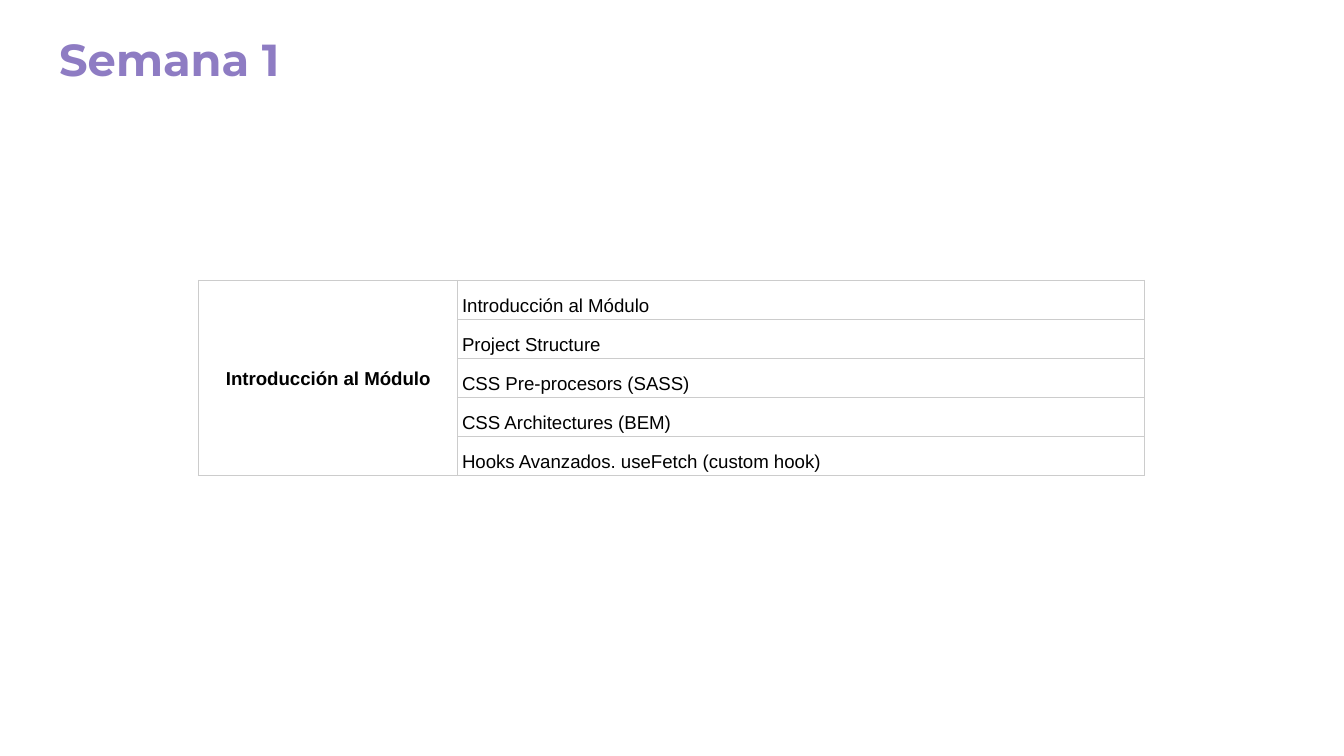
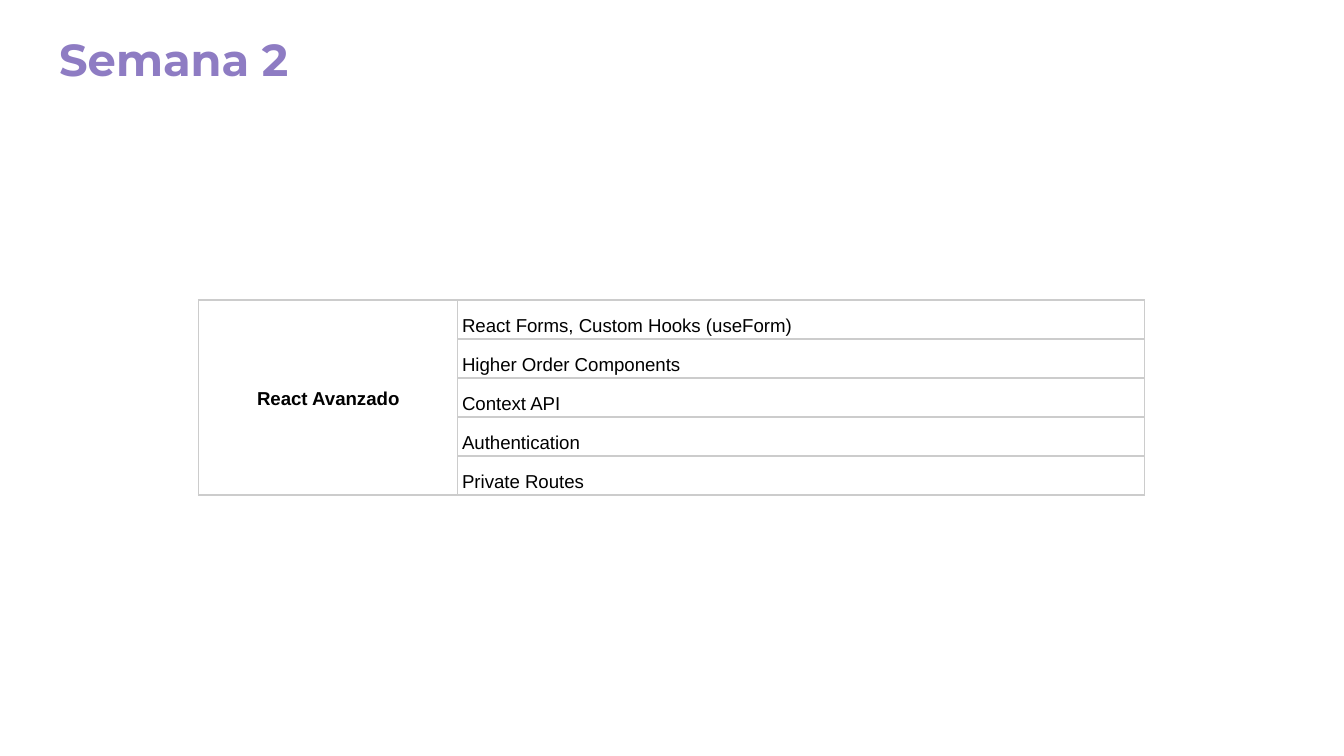
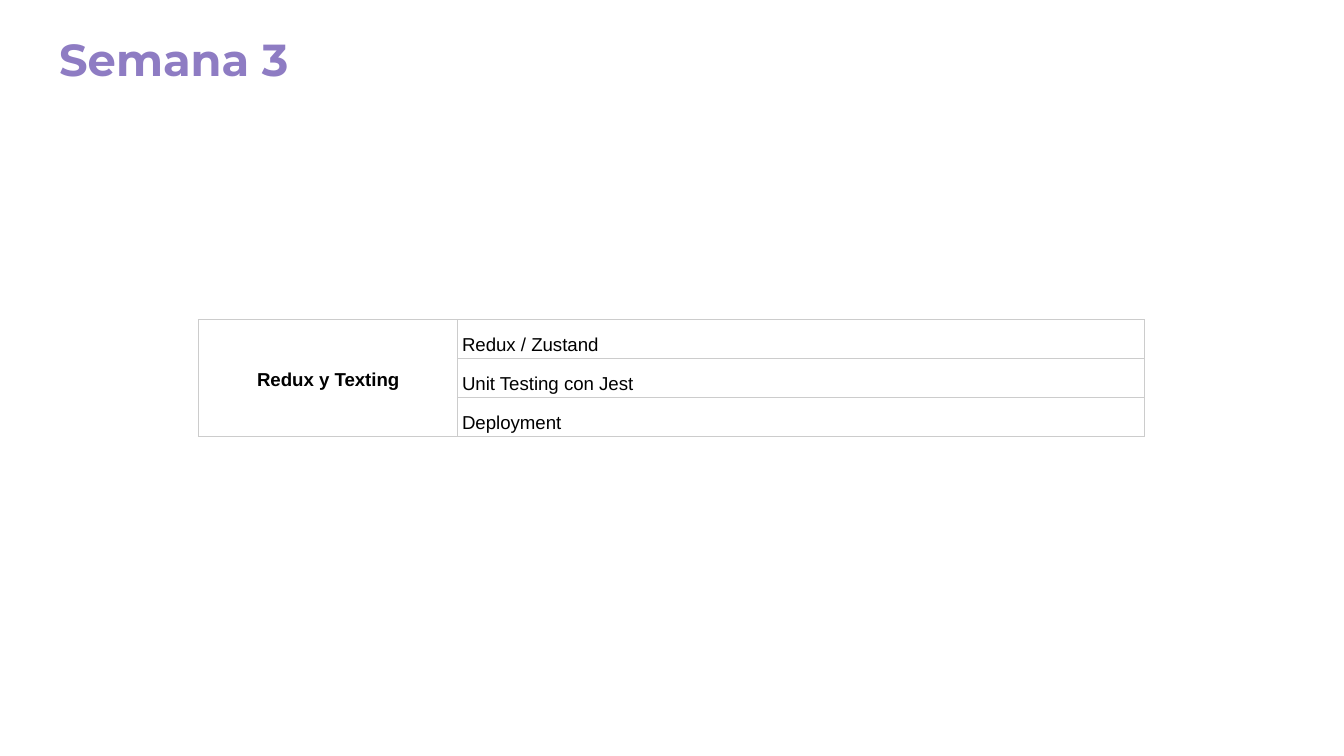
import pptx
import pptx.util
import pptx.dml.color
import pptx.enum.text
import pptx.oxml.ns
import lxml.etree

Pt = pptx.util.Pt
ALIGN = pptx.enum.text.PP_ALIGN
ANCHOR = pptx.enum.text.MSO_ANCHOR

WEEKS = [
    ("Semana 1", 150.2, "Introducción al Módulo", [
        "Introducción al Módulo",
        "Project Structure",
        "CSS Pre-procesors (SASS)",
        "CSS Architectures (BEM)",
        "Hooks Avanzados. useFetch (custom hook)",
    ]),
    ("Semana 2", 160.7, "React Avanzado", [
        "React Forms, Custom Hooks (useForm)",
        "Higher Order Components",
        "Context API",
        "Authentication",
        "Private Routes",
    ]),
    ("Semana 3", 171.2, "Redux y Texting", [
        "Redux / Zustand",
        "Unit Testing con Jest",
        "Deployment",
    ]),
]

PURPLE, BLACK, WHITE, GRAY = "8E7CC3", "000000", "FFFFFF", "CCCCCC"
LEFT, ROW = 106.3, 20.9
COLS = [139, 368]
RULE = 0.75


def color(code):
    return pptx.dml.color.RGBColor.from_string(code)


def write(frame, text, size=10, font="Arial", ink=BLACK, bold=False,
          align=ALIGN.LEFT, space=None):
    para = frame.paragraphs[0]
    para.alignment = align
    para.line_spacing = space
    run = para.add_run()
    run.text = text
    run.font.size = Pt(size)
    run.font.name = font
    run.font.bold = bold
    run.font.color.rgb = color(ink)


def border(cell):
    qn = pptx.oxml.ns.qn
    props = cell._tc.get_or_add_tcPr()
    for side in "LRTB":
        line = lxml.etree.SubElement(props, qn("a:ln" + side), w=str(Pt(RULE)))
        fill = lxml.etree.SubElement(line, qn("a:solidFill"))
        lxml.etree.SubElement(fill, qn("a:srgbClr"), val=GRAY)


def style(cell, anchor):
    cell.margin_left = cell.margin_right = Pt(2.25)
    cell.margin_top = cell.margin_bottom = Pt(1.5)
    cell.vertical_anchor = anchor
    border(cell)


def head(slide, text):
    title = slide.shapes.title
    title.left, title.top = Pt(24.5), Pt(8.6)
    title.width, title.height = Pt(671), Pt(45.4)
    frame = title.text_frame
    frame.word_wrap = True
    frame.auto_size = pptx.enum.text.MSO_AUTO_SIZE.NONE
    frame.vertical_anchor = ANCHOR.MIDDLE
    frame.margin_left = frame.margin_right = Pt(7.2)
    frame.margin_top = frame.margin_bottom = Pt(7.2)
    write(frame, text, size=24, font="Montserrat", ink=PURPLE, bold=True)


def grid(slide, top, unit, topics):
    count = len(topics)
    table = slide.shapes.add_table(
        count, 2, Pt(LEFT), Pt(top), Pt(sum(COLS)), Pt(ROW * count)).table
    table.first_row = table.horz_banding = False
    for col, width in zip(table.columns, COLS):
        col.width = Pt(width)
    for row, topic in enumerate(topics):
        table.rows[row].height = Pt(ROW)
        label, cell = table.cell(row, 0), table.cell(row, 1)
        style(label, ANCHOR.MIDDLE)
        label.fill.background()
        style(cell, ANCHOR.BOTTOM)
        cell.fill.solid()
        cell.fill.fore_color.rgb = color(WHITE)
        write(cell.text_frame, topic, space=1.15)
    first = table.cell(0, 0)
    first.merge(table.cell(count - 1, 0))
    write(first.text_frame, unit, bold=True, align=ALIGN.CENTER, space=1.15)


def main():
    deck = pptx.Presentation()
    deck.slide_width, deck.slide_height = Pt(720), Pt(405)
    for name, top, unit, topics in WEEKS:
        slide = deck.slides.add_slide(deck.slide_layouts[5])
        head(slide, name)
        grid(slide, top, unit, topics)
    deck.save("out.pptx")


if __name__ == "__main__":
    main()
